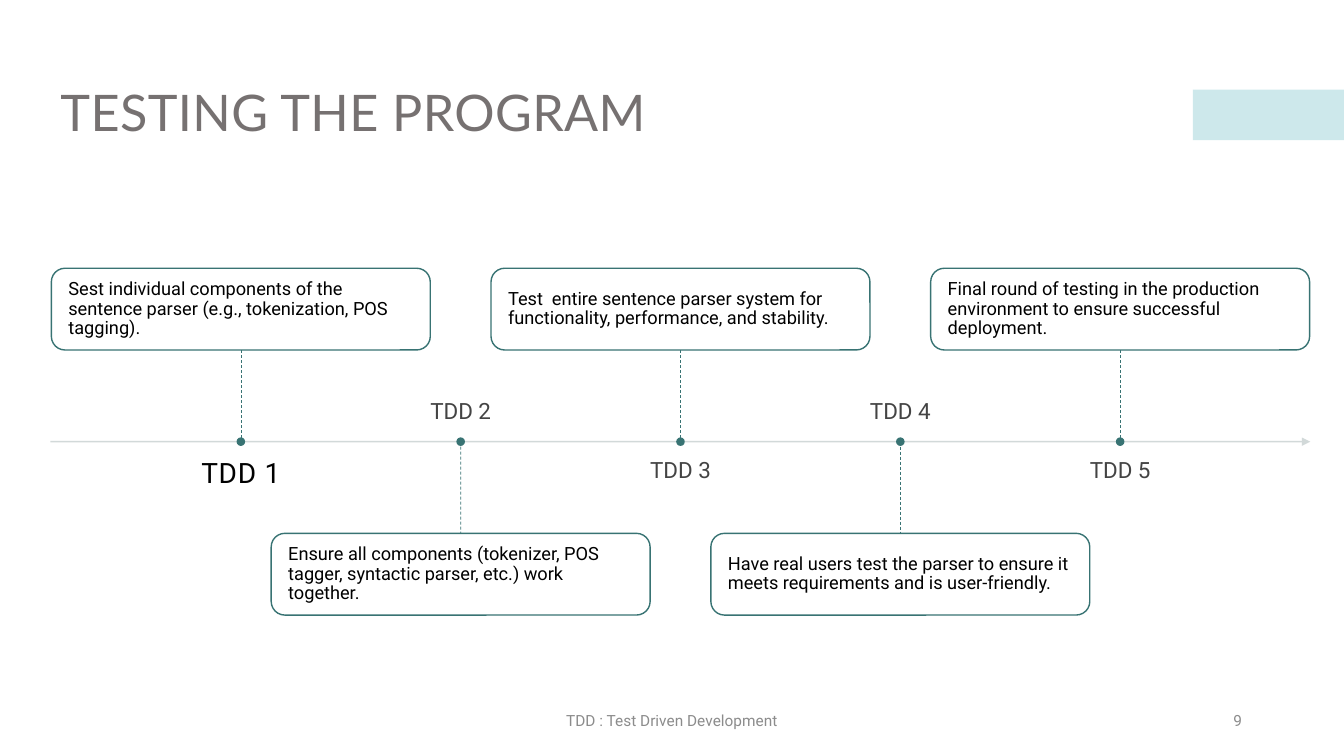
import pptx
import pptx.util
import pptx.dml.color
import pptx.enum.dml
import pptx.enum.shapes
import pptx.enum.text
import pptx.oxml.ns
from lxml import etree

Cm, Pt = pptx.util.Cm, pptx.util.Pt
RGB = pptx.dml.color.RGBColor
Shape = pptx.enum.shapes.MSO_SHAPE
Align = pptx.enum.text.PP_ALIGN
Anchor = pptx.enum.text.MSO_ANCHOR
qn = pptx.oxml.ns.qn

TITLE = "TESTING THE PROGRAM"
STAGES = [
    ("TDD 1", "Sest individual components of the sentence parser (e.g., tokenization, POS tagging)."),
    ("TDD 2", "Ensure all components (tokenizer, POS tagger, syntactic parser, etc.) work together."),
    ("TDD 3", "Test  entire sentence parser system for functionality, performance, and stability."),
    ("TDD 4", "Have real users test the parser to ensure it meets requirements and is user-friendly."),
    ("TDD 5", "Final round of testing in the production environment to ensure successful deployment."),
]
FOOTER = "TDD : Test Driven Development"
NUMBER = "9"

WHITE = RGB(0xFF, 0xFF, 0xFF)
BLACK = RGB(0, 0, 0)
TEAL = RGB(0x38, 0x73, 0x73)
AQUA = RGB(0x9C, 0xD3, 0xD9)
MIST = RGB(0xCE, 0xD5, 0xD5)
STONE = RGB(0x76, 0x71, 0x71)
SLATE = RGB(0x44, 0x44, 0x44)
GREY = RGB(0x8C, 0x8C, 0x8C)

AXIS = 11.13
FIRST, STEP = 6.07, 5.54
CARD_W, CARD_H = 9.55, 2.06
REACH = 2.31  # from the axis to the near side of a card
LABEL_W, LABEL_H, LABEL_GAP = 8.41, 1.37, 0.44
DOT = 0.18


def fade(fill, percent):
    """Set the opacity of a solid fill element."""
    color = fill.find(".//" + qn("a:srgbClr"))
    etree.SubElement(color, qn("a:alpha")).set("val", str(percent * 1000))


def write(frame, text, size, color, align=Align.LEFT, face="Roboto", lead=0.9, track=0):
    para = frame.paragraphs[0]
    para.alignment = align
    para.line_spacing = lead
    run = para.add_run()
    run.text = text
    run.font.name = face
    run.font.size = Pt(size)
    run.font.color.rgb = color
    if track:
        run._r.get_or_add_rPr().set("spc", str(track))


def inset(frame, side, top=0):
    frame.margin_left = frame.margin_right = Cm(side)
    frame.margin_top = frame.margin_bottom = Cm(top)


def add_text(left, top, width, height, anchor):
    frame = slide.shapes.add_textbox(Cm(left), Cm(top), Cm(width), Cm(height)).text_frame
    frame.word_wrap = True
    frame.vertical_anchor = anchor
    return frame


def add_shape(kind, left, top, width, height, fill, edge=None, opacity=100):
    shape = slide.shapes.add_shape(kind, Cm(left), Cm(top), Cm(width), Cm(height))
    shape.shadow.inherit = False
    shape.fill.solid()
    shape.fill.fore_color.rgb = fill
    if opacity < 100:
        fade(shape._element.spPr.find(qn("a:solidFill")), opacity)
    if edge is None:
        shape.line.fill.background()
    else:
        shape.line.color.rgb = edge
        shape.line.width = Pt(1)
    return shape


def add_line(x1, y1, x2, y2, color, width):
    line = slide.shapes.add_connector(
        pptx.enum.shapes.MSO_CONNECTOR.STRAIGHT, Cm(x1), Cm(y1), Cm(x2), Cm(y2))
    line.line.color.rgb = color
    line.line.width = Pt(width)
    etree.SubElement(line._element.spPr, qn("a:effectLst"))
    return line


def add_stage(index, label, text):
    mid = FIRST + index * STEP
    above = index % 2 == 0
    card_top = AXIS - REACH - CARD_H if above else AXIS + REACH
    label_top = AXIS + LABEL_GAP if above else AXIS - LABEL_GAP - LABEL_H

    card = add_shape(Shape.ROUNDED_RECTANGLE, mid - CARD_W / 2, card_top,
                     CARD_W, CARD_H, WHITE, TEAL, 90)
    frame = card.text_frame
    frame.word_wrap = True
    frame.vertical_anchor = Anchor.MIDDLE
    inset(frame, 0.33, 0.1)
    write(frame, text, 13, BLACK)

    stem = add_line(mid, AXIS, mid, AXIS, TEAL, 0.5)
    stem.line.dash_style = pptx.enum.dml.MSO_LINE.DASH
    if above:
        stem.begin_connect(card, 2)
    else:
        stem.end_connect(card, 0)
    add_shape(Shape.OVAL, mid - DOT / 2, AXIS - DOT / 2, DOT, DOT, TEAL, TEAL)

    frame = add_text(mid - LABEL_W / 2, label_top, LABEL_W, LABEL_H,
                     Anchor.TOP if above else Anchor.BOTTOM)
    inset(frame, 0)
    size, color = (20, BLACK) if index == 0 else (16, SLATE)
    write(frame, label, size, color, Align.CENTER, track=50 if index == 0 else 0)


deck = pptx.Presentation()
deck.slide_width, deck.slide_height = Cm(33.87), Cm(19.05)
slide = deck.slides.add_slide(deck.slide_layouts[5])

add_shape(Shape.RECTANGLE, 30.06, 2.26, 3.81, 1.27, AQUA, opacity=50)

title = slide.shapes.title
title.left, title.top, title.width, title.height = Cm(1.27), Cm(1.07), Cm(31.33), Cm(3.68)
title.text_frame.vertical_anchor = Anchor.MIDDLE
write(title.text_frame, TITLE, 36, STONE, face="Lato", track=30)

axis = add_line(1.27, AXIS, 33.02, AXIS, MIST, 1)
ln = axis._element.spPr.find(qn("a:ln"))
fade(ln, 90)
etree.SubElement(ln, qn("a:tailEnd")).set("type", "triangle")

for index, (label, text) in enumerate(STAGES):
    add_stage(index, label, text)

write(add_text(11.22, 17.65, 11.43, 1.02, Anchor.MIDDLE), FOOTER, 11, GREY, Align.CENTER, lead=1.0)
write(add_text(23.93, 17.65, 7.62, 1.02, Anchor.MIDDLE), NUMBER, 11, GREY, Align.RIGHT, lead=1.0)

deck.save("out.pptx")
